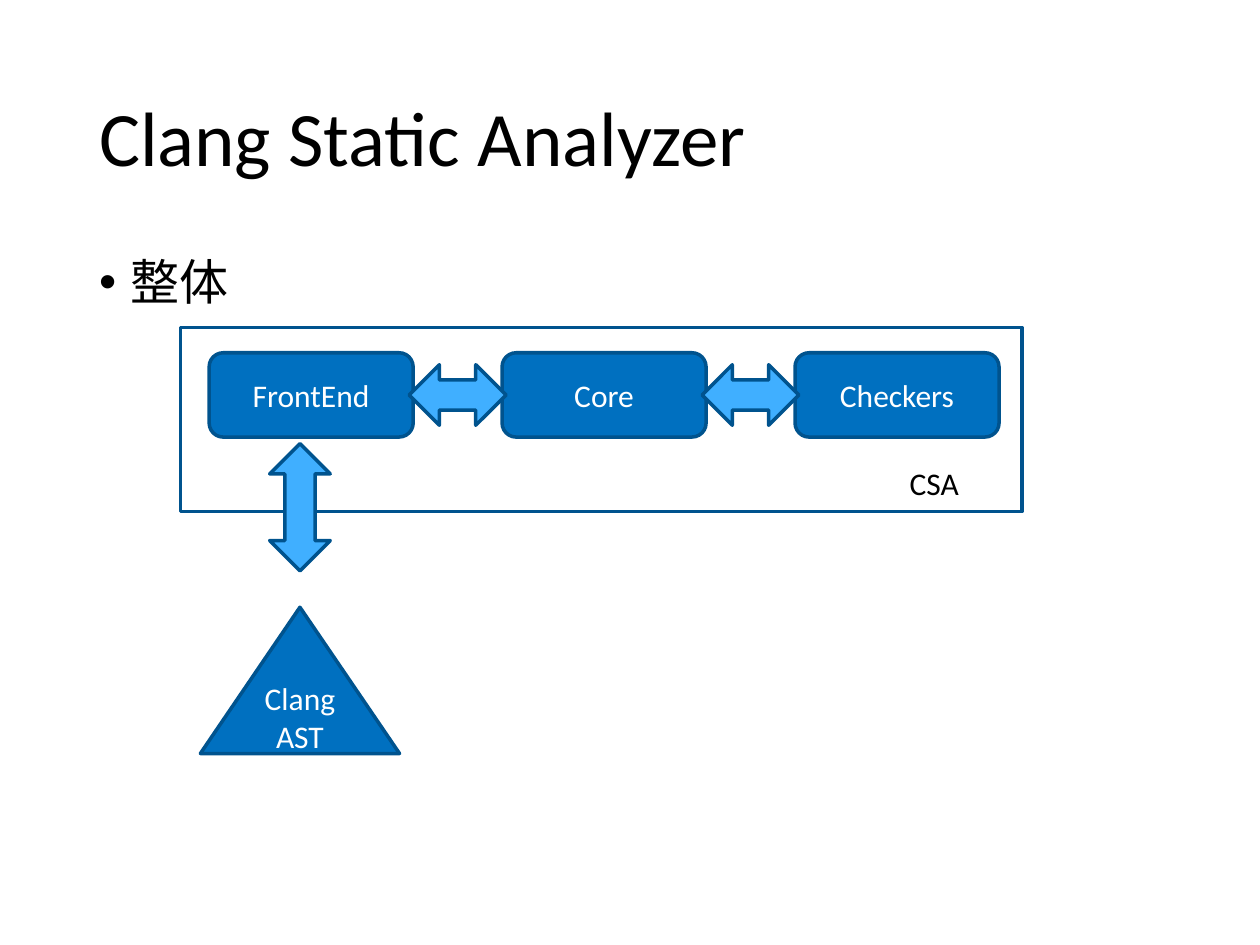
from lxml import etree
from pptx import Presentation
from pptx.dml.color import RGBColor
from pptx.enum.shapes import MSO_SHAPE
from pptx.enum.text import MSO_ANCHOR, PP_ALIGN
from pptx.oxml.ns import qn
from pptx.util import Pt

BLACK = RGBColor(0x00, 0x00, 0x00)
WHITE = RGBColor(0xFF, 0xFF, 0xFF)
BLUE = RGBColor(0x00, 0x70, 0xC0)
LIGHT_BLUE = RGBColor(0x40, 0xAF, 0xFF)
DARK_BLUE = RGBColor(0x00, 0x53, 0x8E)
FONT = "Calibri"

RECT = MSO_SHAPE.RECTANGLE
ROUNDED = MSO_SHAPE.ROUNDED_RECTANGLE
ARROW = MSO_SHAPE.UP_DOWN_ARROW
TRIANGLE = MSO_SHAPE.ISOSCELES_TRIANGLE
TOP, MIDDLE = MSO_ANCHOR.TOP, MSO_ANCHOR.MIDDLE
LEFT, CENTER = PP_ALIGN.LEFT, PP_ALIGN.CENTER

MODULES = ["FrontEnd", "Core", "Checkers"]


def write(tf, lines, size, color, align=LEFT, anchor=TOP, spacing=1.0):
    """Fill a text frame with one paragraph per line."""
    tf.word_wrap = True
    tf.vertical_anchor = anchor
    for i, line in enumerate(lines):
        p = tf.add_paragraph() if i else tf.paragraphs[0]
        p.alignment = align
        p.line_spacing = spacing
        r = p.add_run()
        r.text = line
        r.font.name = FONT
        r.font.size = Pt(size)
        r.font.color.rgb = color


def add_text(s, box, lines, size, **style):
    """Add a text box and return its text frame."""
    tf = s.shapes.add_textbox(*map(Pt, box)).text_frame
    write(tf, lines, size, BLACK, **style)
    return tf


def add_block(s, kind, box, fill, lines=()):
    """Add an outlined preset shape with optional centred text."""
    sp = s.shapes.add_shape(kind, *map(Pt, box))
    sp.shadow.inherit = False
    sp.fill.solid()
    sp.fill.fore_color.rgb = fill
    sp.line.color.rgb = DARK_BLUE
    sp.line.width = Pt(2)
    write(sp.text_frame, lines, 18, WHITE, CENTER, MIDDLE)
    return sp


def add_bullet(p, indent):
    """Give a paragraph a round bullet with a hanging indent."""
    pPr = p._p.get_or_add_pPr()
    pPr.set("marL", str(Pt(indent)))
    pPr.set("indent", str(-Pt(indent)))
    etree.SubElement(pPr, qn("a:buFont")).set("typeface", "Arial")
    etree.SubElement(pPr, qn("a:buChar")).set("char", "•")


def add_heading(s, x, y, w):
    """Place the title and the bullet line below it."""
    add_text(s, (x, y, w, 104.4), ["Clang Static Analyzer"], 44,
             anchor=MIDDLE, spacing=0.9)
    tf = add_text(s, (x, y + 115.2, w, 342.7), ["整体"], 28, spacing=0.9)
    add_bullet(tf.paragraphs[0], 18)


def add_analyzer(s, x, y, w, h):
    """Place the analyzer frame with its linked modules and label."""
    add_block(s, RECT, (x, y, w, h), WHITE)
    box_w, box_h, step = 116.6, 48.2, 167.4
    left, top = x + 16.5, y + 14.4
    for i, name in enumerate(MODULES):
        add_block(s, ROUNDED, (left + i * step, top, box_w, box_h), BLUE, [name])
    arrow_w, arrow_h = 34.6, 55.4
    for i in range(len(MODULES) - 1):
        center = left + i * step + (box_w + step) / 2
        box = (center - arrow_w / 2, top + (box_h - arrow_h) / 2, arrow_w, arrow_h)
        add_block(s, ARROW, box, LIGHT_BLUE).rotation = 270
    add_text(s, (x + w - 71.3, y + 74.2, 69.1, 29), ["CSA"], 18)


def add_ast(s, x, y, w, h):
    """Place the syntax tree triangle under its double arrow."""
    tree_h, arrow_w, arrow_h = 83.6, 34.6, 72.7
    add_block(s, ARROW, (x + (w - arrow_w) / 2, y, arrow_w, arrow_h), LIGHT_BLUE)
    add_block(s, TRIANGLE, (x, y + h - tree_h, w, tree_h), BLUE, ["Clang", "AST"])


def main():
    """Build and save the slide."""
    prs = Presentation()
    prs.slide_width, prs.slide_height = Pt(720), Pt(540)
    s = prs.slides.add_slide(prs.slide_layouts[6])
    add_heading(s, 49.5, 28.8, 620.6)
    add_analyzer(s, 103, 187.2, 481, 105.1)
    add_ast(s, 114.5, 253.5, 113.8, 177.1)
    prs.save("out.pptx")


if __name__ == "__main__":
    main()
